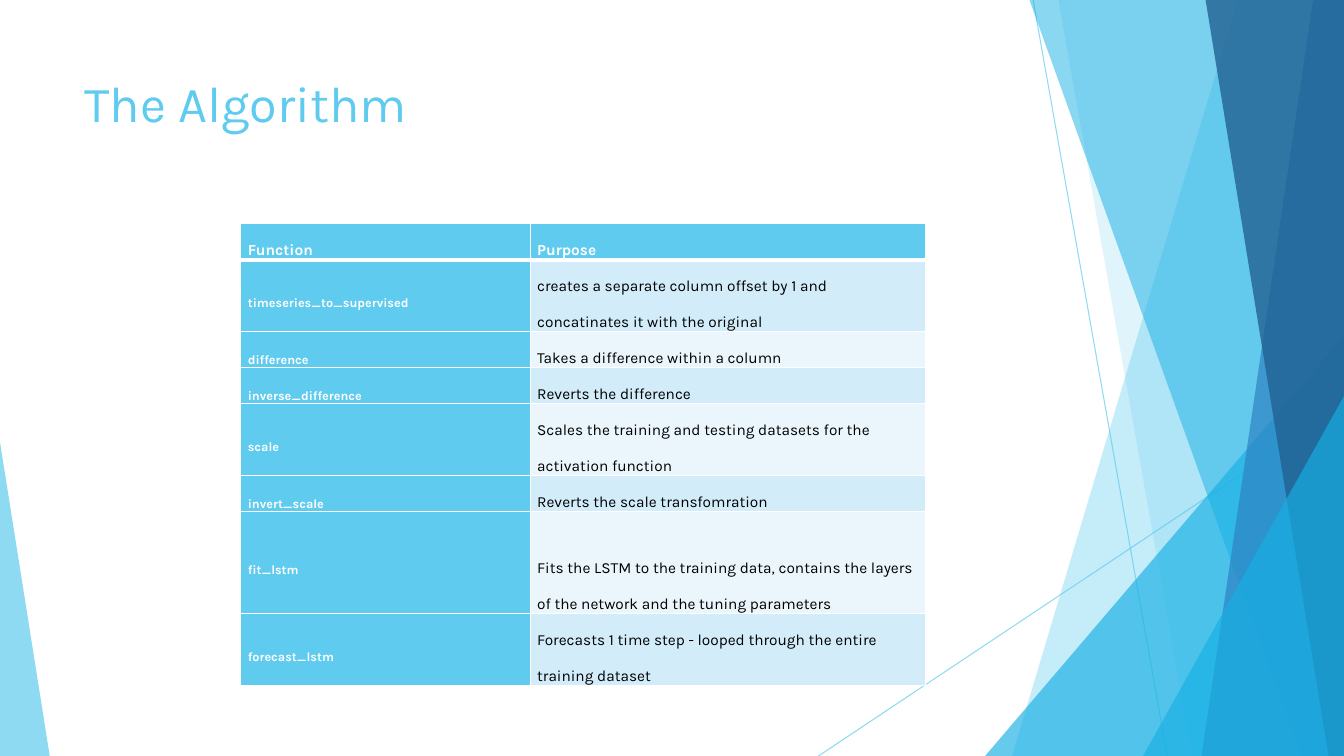
from collections import namedtuple

from lxml.etree import SubElement
from pptx import Presentation
from pptx.dml.color import RGBColor
from pptx.enum.shapes import MSO_CONNECTOR, MSO_SHAPE
from pptx.enum.text import MSO_ANCHOR, PP_ALIGN
from pptx.oxml import parse_xml
from pptx.oxml.ns import nsdecls, qn
from pptx.util import Inches, Pt

SKY = RGBColor(0x5F, 0xCB, 0xEF)
CYAN = RGBColor(0x17, 0xB0, 0xE4)
BLUE = RGBColor(0x2E, 0x83, 0xC3)
NAVY = RGBColor(0x22, 0x62, 0x92)
BAND_DARK = RGBColor(0xD2, 0xEC, 0xF9)
BAND_LIGHT = RGBColor(0xEA, 0xF6, 0xFC)
WHITE = RGBColor(0xFF, 0xFF, 0xFF)
BLACK = RGBColor(0, 0, 0)
FONT = "Karla"

Box = namedtuple("Box", "left top width height")

# Lines: x1, y1, x2, y2 in percent of the slide
LINES = [(76.87, 0, 86.85, 100), (100, 53.7, 60.9, 100)]

# Shards reach the right edge: x at the top, x at the bottom, colour, opacity.
# Wedges are triangles on the bottom edge: left, top, width, apex, colour, opacity.
FACETS = [
    ("shard", 92.1, 75.3, SKY, 36),
    ("shard", 78.75, 88.7, SKY, 20),
    ("wedge", 73.3, 44.4, 26.7, 1, CYAN, 66),
    ("shard", 76.6, 96.8, CYAN, 50),
    ("shard", 97.7, 89.4, BLUE, 70),
    ("shard", 89.7, 98.85, NAVY, 80),
    ("wedge", 85.05, 52.4, 14.95, 1, CYAN, 66),
    ("wedge", 0, 58.5, 3.7, 0, SKY, 70),
]

HEADER = ("Function", "Purpose")
COLUMN_SHARES = (2.87, 3.92)
# Function, purpose, relative row height
FUNCTIONS = [
    ("timeseries_to_supervised",
     "creates a separate column offset by 1 and concatinates it with the original", 0.67),
    ("difference", "Takes a difference within a column", 0.31),
    ("inverse_difference", "Reverts the difference", 0.31),
    ("scale", "Scales the training and testing datasets for the activation function", 0.67),
    ("invert_scale", "Reverts the scale transfomration", 0.31),
    ("fit_lstm", "Fits the LSTM to the training data, contains the layers of the network "
     "and the tuning parameters", 1.01),
    ("forecast_lstm", "Forecasts 1 time step - looped through the entire training dataset", 0.67),
]
HEADER_HEIGHT = 0.31


def point(box, x, y):
    """Position of a point given in percent of the box."""
    return int(box.left + box.width * x / 100), int(box.top + box.height * y / 100)


def part(box, x, y, width, height):
    """Sub-box given in percent of the box."""
    return Box(*point(box, x, y), int(box.width * width / 100), int(box.height * height / 100))


def set_opacity(fill_parent, percent):
    color = fill_parent.find(".//" + qn("a:srgbClr"))
    SubElement(color, qn("a:alpha")).set("val", str(percent * 1000))


def paint(sp, color, opacity):
    sp.shadow.inherit = False
    sp.fill.solid()
    sp.fill.fore_color.rgb = color
    set_opacity(sp._element.spPr, opacity)
    sp.line.fill.background()


def add_line(s, box, x1, y1, x2, y2):
    line = s.shapes.add_connector(
        MSO_CONNECTOR.STRAIGHT, *point(box, x1, y1), *point(box, x2, y2))
    line.line.color.rgb = SKY
    line.line.width = Pt(0.75)
    set_opacity(line._element.spPr, 70)
    SubElement(line._element.spPr, qn("a:effectLst"))


def add_shard(s, box, top_x, bottom_x, color, opacity):
    outline = s.shapes.build_freeform(*point(box, top_x, 0))
    corners = [(100, 0), (100, 100), (bottom_x, 100)]
    outline.add_line_segments([point(box, x, y) for x, y in corners], close=True)
    paint(outline.convert_to_shape(), color, opacity)


def add_wedge(s, box, left, top, width, apex, color, opacity):
    sp = s.shapes.add_shape(
        MSO_SHAPE.ISOSCELES_TRIANGLE, *part(box, left, top, width, 100 - top))
    sp.adjustments[0] = apex
    paint(sp, color, opacity)


def add_backdrop(s, box):
    for line in LINES:
        add_line(s, box, *line)
    add_facet = {"shard": add_shard, "wedge": add_wedge}
    for kind, *args in FACETS:
        add_facet[kind](s, box, *args)


def add_run(p, text, size, color, bold=False):
    r = p.add_run()
    r.text = text
    r.font.name = FONT
    r.font.size = Pt(size)
    r.font.bold = bold
    r.font.color.rgb = color


def place_title(s, box, text):
    title = s.shapes.title
    title.left, title.top, title.width, title.height = box
    tf = title.text_frame
    tf.word_wrap = True
    tf.vertical_anchor = MSO_ANCHOR.TOP
    p = tf.paragraphs[0]
    p.alignment = PP_ALIGN.LEFT
    add_run(p, text, 36, SKY)


def set_borders(cell, top, bottom):
    """White borders; top and bottom widths in points."""
    tc_pr = cell._tc.get_or_add_tcPr()
    widths = {"lnL": 1, "lnR": 1, "lnT": top, "lnB": bottom}
    for i, (tag, width) in enumerate(widths.items()):
        tc_pr.insert(i, parse_xml(
            f'<a:{tag} {nsdecls("a")} w="{Pt(width)}"><a:solidFill>'
            f'<a:srgbClr val="{WHITE}"/></a:solidFill></a:{tag}>'))


def fill_cell(cell, text, size, color, bold, fill, anchor):
    cell.fill.solid()
    cell.fill.fore_color.rgb = fill
    cell.vertical_anchor = anchor
    cell.margin_left = cell.margin_right = Inches(0.07)
    cell.margin_top = cell.margin_bottom = 0
    p = cell.text_frame.paragraphs[0]
    p.line_spacing = 2.0
    add_run(p, text, size, color, bold)


def add_function_table(s, box):
    heights = [HEADER_HEIGHT] + [height for *_, height in FUNCTIONS]
    table = s.shapes.add_table(len(heights), len(HEADER), *box).table
    table.first_row = table.horz_banding = False
    for column, share in zip(table.columns, COLUMN_SHARES):
        column.width = int(box.width * share / sum(COLUMN_SHARES))
    for row, height in zip(table.rows, heights):
        row.height = int(box.height * height / sum(heights))

    for c, text in enumerate(HEADER):
        fill_cell(table.cell(0, c), text, 11, WHITE, True, SKY, MSO_ANCHOR.BOTTOM)
        set_borders(table.cell(0, c), 1, 3)
    for i, (name, purpose, height) in enumerate(FUNCTIONS, 1):
        anchor = MSO_ANCHOR.MIDDLE if height > HEADER_HEIGHT else MSO_ANCHOR.BOTTOM
        band = BAND_DARK if i % 2 else BAND_LIGHT
        fill_cell(table.cell(i, 0), name, 9, WHITE, True, SKY, anchor)
        fill_cell(table.cell(i, 1), purpose, 11, BLACK, False, band, MSO_ANCHOR.BOTTOM)
        for cell in table.rows[i].cells:
            set_borders(cell, 3 if i == 1 else 1, 1)


def add_algorithm_slide(prs, box):
    s = prs.slides.add_slide(prs.slide_layouts[5])
    add_backdrop(s, box)
    place_title(s, part(box, 5.55, 8.9, 70.5, 19.2), "The Algorithm")
    add_function_table(s, part(box, 17.92, 29.6, 50.93, 56.8))


def main():
    prs = Presentation()
    prs.slide_width, prs.slide_height = Inches(13.33), Inches(7.5)
    add_algorithm_slide(prs, Box(0, 0, prs.slide_width, prs.slide_height))
    prs.save("out.pptx")


if __name__ == "__main__":
    main()
